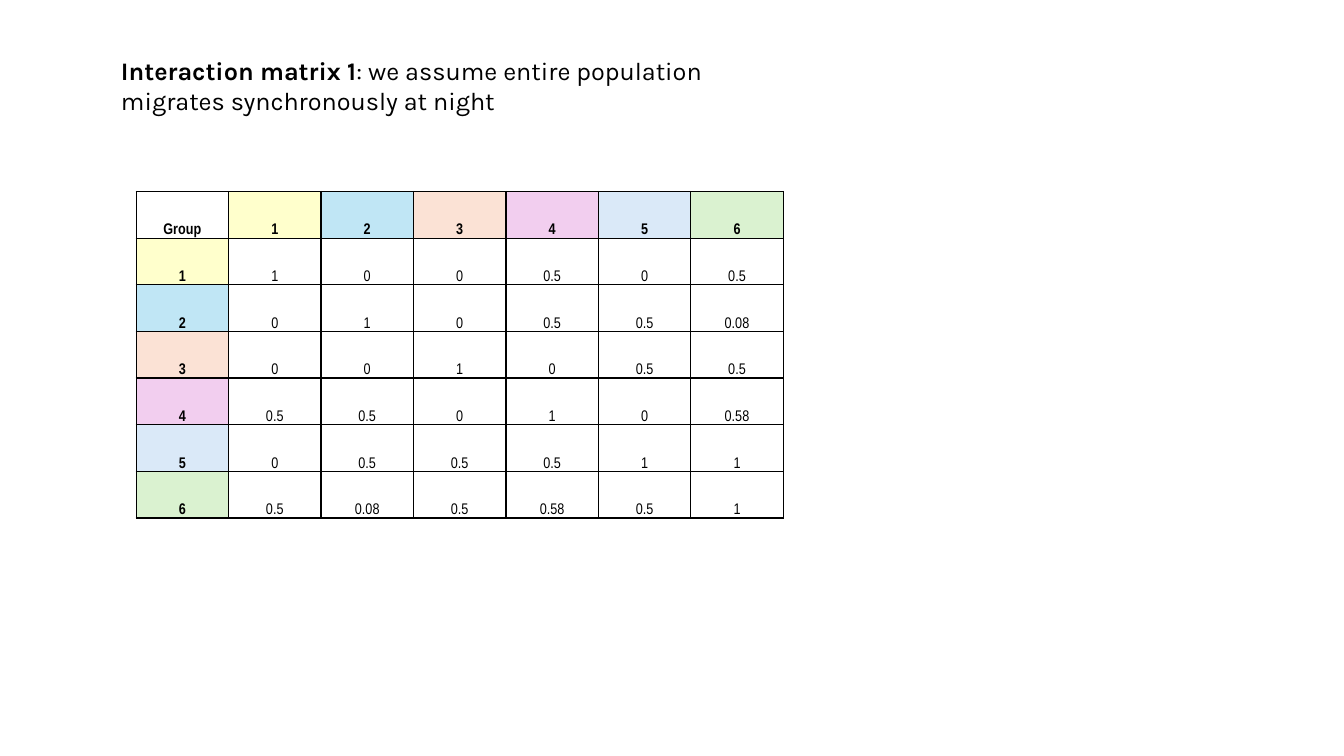
from lxml import etree
from pptx import Presentation
from pptx import util as u
from pptx.dml.color import RGBColor
from pptx.enum import text
from pptx.oxml.ns import qn

GROUP_FILLS = ["FFFFCC", "C0E6F5", "FBE2D5", "F2CEEF", "DAE9F8", "DAF2D0"]
INTERACTIONS = [
    ["1", "0", "0", "0.5", "0", "0.5"],
    ["0", "1", "0", "0.5", "0.5", "0.08"],
    ["0", "0", "1", "0", "0.5", "0.5"],
    ["0.5", "0.5", "0", "1", "0", "0.58"],
    ["0", "0.5", "0.5", "0.5", "1", "1"],
    ["0.5", "0.08", "0.5", "0.58", "0.5", "1"],
]


def rgb(value):
    return RGBColor.from_string(value)


class MatrixSlide:
    ink = "000000"
    title_font, title_size = "Karla", 18
    cell_font, cell_size = "Arial Narrow", 11
    border_width = 1

    def __init__(self, prs):
        self.s = prs.slides.add_slide(prs.slide_layouts[5])

    def run(self, p, words, font, size, bold):
        r = p.add_run()
        r.text = words
        r.font.name = font
        r.font.size = u.Pt(size)
        r.font.bold = bold
        r.font.color.rgb = rgb(self.ink)

    def title(self, left, top, width, height, runs):
        sp = self.s.shapes.title
        sp.left, sp.top = u.Inches(left), u.Inches(top)
        sp.width, sp.height = u.Inches(width), u.Inches(height)
        tf = sp.text_frame
        tf.word_wrap = True
        tf.auto_size = text.MSO_AUTO_SIZE.SHAPE_TO_FIT_TEXT
        tf.vertical_anchor = text.MSO_ANCHOR.TOP
        p = tf.paragraphs[0]
        p.alignment = text.PP_ALIGN.LEFT
        for words, bold in runs:
            self.run(p, words, self.title_font, self.title_size, bold)

    def borders(self, cell):
        tc_pr = cell._tc.get_or_add_tcPr()
        for side in ("lnL", "lnR", "lnT", "lnB"):
            ln = etree.SubElement(tc_pr, qn(f"a:{side}"), w=str(u.Pt(self.border_width)))
            fill = etree.SubElement(ln, qn("a:solidFill"))
            etree.SubElement(fill, qn("a:srgbClr"), val=self.ink)

    def cell(self, cell, words, fill, bold):
        self.borders(cell)
        if fill:
            cell.fill.solid()
            cell.fill.fore_color.rgb = rgb(fill)
        else:
            cell.fill.background()
        cell.margin_left = cell.margin_right = cell.margin_top = u.Inches(0.01)
        cell.margin_bottom = 0
        cell.vertical_anchor = text.MSO_ANCHOR.BOTTOM
        p = cell.text_frame.paragraphs[0]
        p.alignment = text.PP_ALIGN.CENTER
        self.run(p, words, self.cell_font, self.cell_size, bold)

    def matrix(self, left, top, width, height, values, fills):
        names = [str(i + 1) for i in range(len(fills))]
        rows = [["Group"] + names] + [[n] + row for n, row in zip(names, values)]
        size = len(rows)
        frame = self.s.shapes.add_table(
            size, size, u.Inches(left), u.Inches(top), u.Inches(width), u.Inches(height))
        table = frame.table
        table.first_row = table.horz_banding = False
        header_fills = [None] + fills
        for i, row in enumerate(rows):
            for j, words in enumerate(row):
                header = i == 0 or j == 0
                fill = header_fills[i + j] if header else None
                self.cell(table.cell(i, j), words, fill, header)


def main():
    prs = Presentation()
    prs.slide_width, prs.slide_height = u.Inches(13.33), u.Inches(7.5)
    slide = MatrixSlide(prs)
    slide.matrix(1.35, 1.9, 6.42, 3.24, INTERACTIONS, GROUP_FILLS)
    slide.title(1.1, 0.5, 6.67, 0.71, [
        ("Interaction matrix 1", True),
        (": we assume entire population migrates synchronously at night", False),
    ])
    prs.save("out.pptx")


if __name__ == "__main__":
    main()
